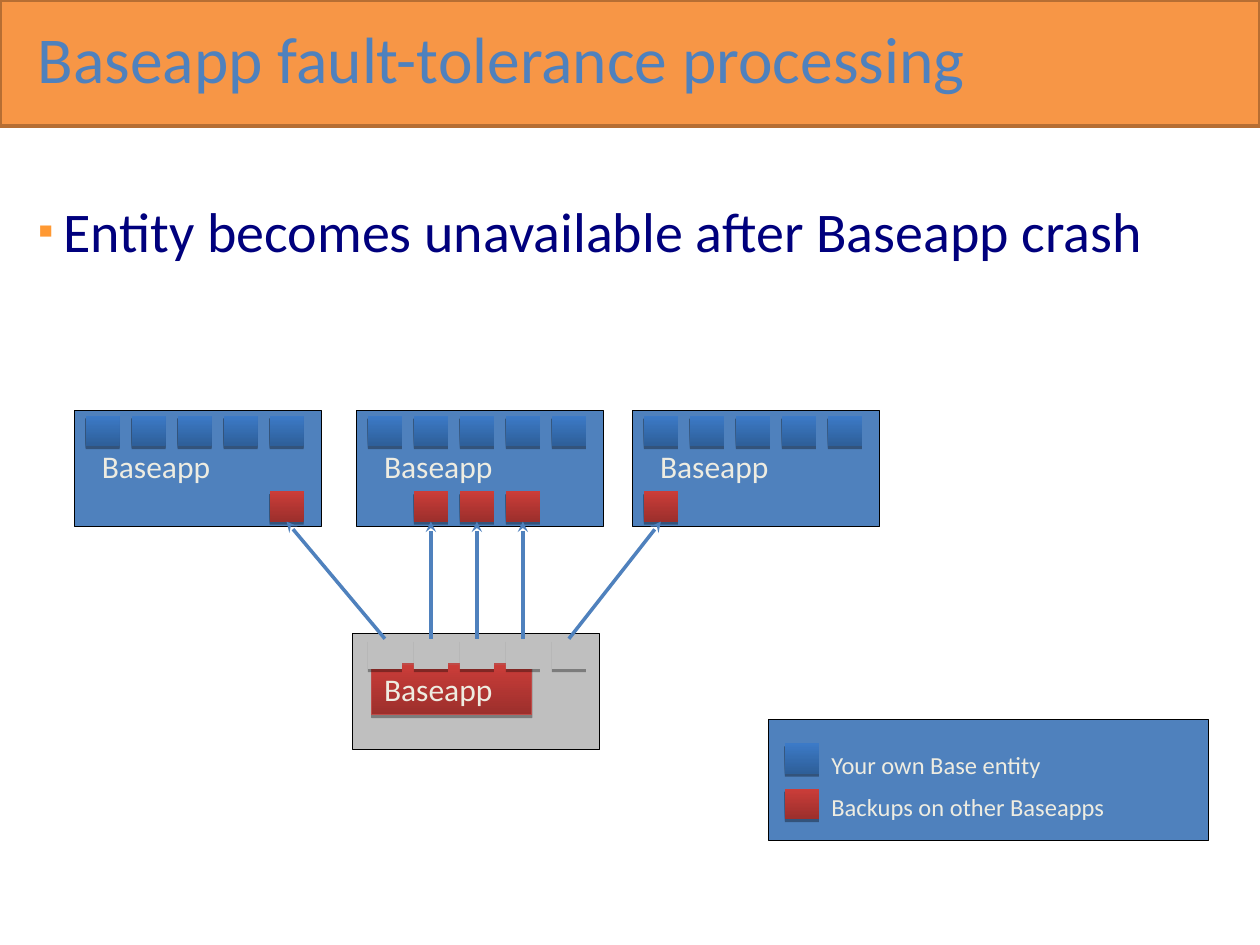
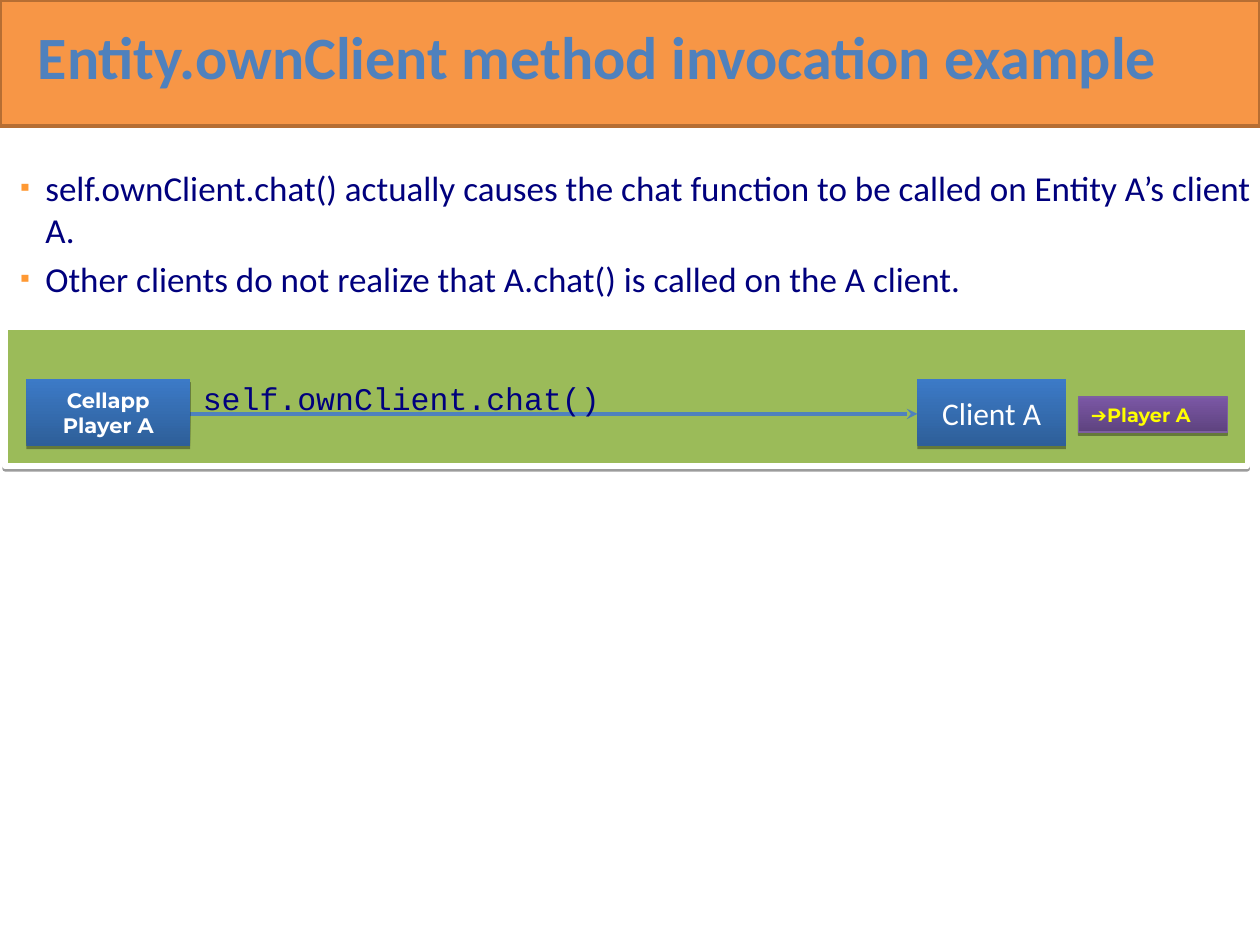
from lxml.etree import SubElement
from pptx import Presentation
from pptx.dml.color import RGBColor
from pptx.enum.shapes import MSO_CONNECTOR as Link, MSO_SHAPE as Shape
from pptx.enum.text import MSO_ANCHOR as Anchor, MSO_AUTO_SIZE as AutoSize, PP_ALIGN as Align
from pptx.oxml.ns import qn
from pptx.util import Inches, Pt

# Shared colours: a pair is a gradient from bottom to top
BLUE, ORANGE, NAVY, GREY = "4F81BD", "F79646", "00007D", "BFBFBF"
CREAM, WHITE, BLACK, YELLOW = "EEECE1", "FFFFFF", "000000", "FFFF00"
OWN = ("2E5F99", "3C7AC7")
BACKUP = ("9C2F2C", "CB3D39")
PURPLE = ("5E437F", "7B57A5")

# Cells inside a Baseapp box
CELL_W, CELL_H = 0.27, 0.24
CELL_COUNT = 5
CELL_PITCH = 1.46 / (CELL_COUNT - 1)
CELL_LEFT, OWN_TOP, BACKUP_TOP = 0.09, 0.04, 0.64
APP_W, APP_H = 1.96, 0.92


def color(hex_string):
    return RGBColor.from_string(hex_string)


def inches(*lengths):
    return [Inches(length) for length in lengths]


def set_font(font, name, size, hex_string, bold=False):
    font.name, font.size, font.bold = name, Pt(size), bold
    font.color.rgb = color(hex_string)


def set_frame(frame, insets=(0.1, 0.05, 0.1, 0.05), anchor=Anchor.TOP, wrap=True):
    frame.auto_size = AutoSize.NONE
    frame.word_wrap = wrap
    frame.vertical_anchor = anchor
    (frame.margin_left, frame.margin_top,
     frame.margin_right, frame.margin_bottom) = inches(*insets)


def write(frame, lines, name, size, hex_string, bold=False, align=Align.LEFT, gap=0):
    """Fill a frame with equally formatted paragraphs, gap points apart."""
    for index, line in enumerate(lines):
        para = frame.paragraphs[0] if index == 0 else frame.add_paragraph()
        para.text = line
        para.alignment = align
        para.space_before = Pt(gap if index else 0)
        set_font(para.font, name, size, hex_string, bold)


def add_bullet(para):
    props = para._p.get_or_add_pPr()
    props.set("marL", str(Inches(0.2)))
    props.set("indent", str(Inches(-0.2)))
    bullet_color = SubElement(props, qn("a:buClr"))
    SubElement(bullet_color, qn("a:srgbClr"), val="FF9933")
    SubElement(props, qn("a:buSzPct"), val="80000")
    SubElement(props, qn("a:buFont"), typeface="Arial")
    SubElement(props, qn("a:buChar"), char="▪")


def add_box(page, at, fill, line=None, line_width=0.75, shadow=None):
    """Draw a rectangle; shadow is (opacity percent, distance in points)."""
    box = page.shapes.add_shape(Shape.RECTANGLE, *inches(*at))
    if isinstance(fill, tuple):
        box.fill.gradient()
        box.fill.gradient_angle = 90
        for stop, hex_string in zip(box.fill.gradient_stops, fill):
            stop.color.rgb = color(hex_string)
    else:
        box.fill.solid()
        box.fill.fore_color.rgb = color(fill)
    if line:
        box.line.color.rgb = color(line)
        box.line.width = Pt(line_width)
    else:
        box.line.fill.background()
    box.shadow.inherit = False
    if shadow:
        opacity, distance = shadow
        effects = box.element.spPr.find(qn("a:effectLst"))
        outer = SubElement(effects, qn("a:outerShdw"), blurRad="0", dist=str(Pt(distance)),
                           dir="5400000", rotWithShape="0")
        tint = SubElement(outer, qn("a:srgbClr"), val=BLACK)
        SubElement(tint, qn("a:alpha"), val=str(opacity * 1000))
    return box


def add_block(page, at, fill, line=None):
    return add_box(page, at, fill, line, shadow=(35, 1.8))


def add_cell(page, left, top, fill):
    add_block(page, (left, top, CELL_W, CELL_H), fill)


def add_label(page, at, lines, name, size, hex_string, gap=0, wrap=True,
              insets=(0.1, 0.05, 0.1, 0.05)):
    label = page.shapes.add_textbox(*inches(*at))
    set_frame(label.text_frame, insets, wrap=wrap)
    write(label.text_frame, lines, name, size, hex_string, gap=gap)


def add_arrow(page, start, end):
    arrow = page.shapes.add_connector(Link.STRAIGHT, *inches(*start, *end))
    arrow.line.color.rgb = color(BLUE)
    arrow.line.width = Pt(2)
    props = arrow.element.spPr
    SubElement(props.find(qn("a:ln")), qn("a:tailEnd"), type="stealth")
    SubElement(props, qn("a:effectLst"))


def place(placeholder, at):
    (placeholder.left, placeholder.top,
     placeholder.width, placeholder.height) = inches(*at)


def send_behind_text(page, box):
    page.shapes.title.element.addprevious(box.element)


def add_page(deck, title, title_width, title_size, title_spacing, bold,
             bullets, body_at, body_size):
    """Start a slide with the title band, the title and the bullet list."""
    page = deck.slides.add_slide(deck.slide_layouts[1])
    band = add_box(page, (0, 0, 10, 1), ORANGE, "B66E33", 2)
    send_behind_text(page, band)

    heading = page.shapes.title
    place(heading, (0.2, 0.14, title_width, 0.71))
    set_frame(heading.text_frame, anchor=Anchor.MIDDLE)
    write(heading.text_frame, [title], "Calibri", title_size, BLUE, bold)
    heading.text_frame.paragraphs[0].line_spacing = title_spacing

    body = page.placeholders[1]
    place(body, body_at)
    frame = body.text_frame
    set_frame(frame, (0.06, 0.01, 0.04, 0.05))
    frame.text = "\n".join(bullets)
    for para in frame.paragraphs:
        add_bullet(para)
    write_size = body_size
    for index, para in enumerate(frame.paragraphs):
        para.space_before = Pt(write_size * 0.2 if index else 0)
        set_font(para.font, "Calibri", write_size, NAVY)
    return page


def cell_left(app_left, column):
    return app_left + CELL_LEFT + column * CELL_PITCH


def add_baseapp(page, left, top, backup_columns=()):
    """Draw a running Baseapp with its own cells and the backups it holds."""
    add_box(page, (left, top, APP_W, APP_H), BLUE, BLACK)
    add_label(page, (left + 0.12, top + 0.24, 1.27, 0.4), ["Baseapp"], "Calibri", 18, CREAM)
    for column in range(CELL_COUNT):
        add_cell(page, cell_left(left, column), top + OWN_TOP, OWN)
    for column in backup_columns:
        add_cell(page, cell_left(left, column), top + BACKUP_TOP, BACKUP)


def add_crashed_baseapp(page, left, top):
    """Draw the crashed Baseapp, its frame set slightly left of its cells."""
    add_box(page, (left - 0.03, top, APP_W, APP_H), GREY, BLACK)
    name = add_block(page, (left + 0.12, top + 0.24, 1.27, 0.4), BACKUP, "BE4B48")
    set_frame(name.text_frame)
    write(name.text_frame, ["Baseapp"], "Calibri", 18, CREAM)
    for column in range(CELL_COUNT):
        add_cell(page, cell_left(left, column), top + OWN_TOP, GREY)


def add_legend(page, left, top):
    add_box(page, (left, top, 3.49, 0.96), BLUE, BLACK)
    add_cell(page, left + 0.13, top + 0.19, OWN)
    add_cell(page, left + 0.13, top + 0.55, BACKUP)
    add_label(page, (left + 0.4, top + 0.19, 3.09, 0.66),
              ["Your own Base entity", "Backups on other Baseapps"],
              "Calibri", 14, CREAM, gap=7.2)


def build_fault_tolerance(deck):
    page = add_page(deck, "Baseapp fault-tolerance processing", 7.71, 37.4, 0.9, False,
                    ["Entity becomes unavailable after Baseapp crash"],
                    (0.24, 1.55, 9.56, 1.57), 32)
    apps_top, crashed_left, crashed_top = 3.26, 2.83, 5.03
    backups = {0.59: [4], 2.83: [1, 2, 3], 5.02: [0]}
    for left, columns in backups.items():
        add_baseapp(page, left, apps_top, columns)
    add_crashed_baseapp(page, crashed_left, crashed_top)

    # Each lost cell points to its backup, from left to right
    targets = [cell_left(left, column) for left, columns in backups.items() for column in columns]
    for column, target in enumerate(targets):
        source = cell_left(crashed_left, column)
        add_arrow(page, (source + CELL_W / 2, crashed_top + OWN_TOP),
                  (target + CELL_W / 2, apps_top + BACKUP_TOP + CELL_H))
    add_legend(page, 6.1, 5.71)


def add_call_diagram(page, left, top):
    """Draw the call from the Cellapp to the client on a green panel."""
    panel = add_box(page, (left, top, 9.86, 1.1), "9BBB59", WHITE, 3, shadow=(38, 1.6))
    send_behind_text(page, panel)

    block_top, block_height = top + 0.41, 0.53
    cellapp_left, cellapp_width, client_left = left + 0.17, 1.3, left + 7.24
    cellapp_right = cellapp_left + cellapp_width
    middle = block_top + block_height / 2 + 0.01
    add_arrow(page, (cellapp_right, middle), (client_left, middle))
    add_label(page, (cellapp_right + 0.1, block_top, 3.15, 0.3), ["self.ownClient.chat()"],
              "Courier New", 18, NAVY, wrap=False, insets=(0, 0, 0, 0))

    blocks = [(cellapp_left, cellapp_width, ["Cellapp", "Player A"], "Montserrat", 12, True),
              (client_left, 1.18, ["Client A"], "Calibri", 18, False)]
    for block_left, width, lines, name, size, bold in blocks:
        block = add_block(page, (block_left, block_top, width, block_height), OWN)
        set_frame(block.text_frame, anchor=Anchor.MIDDLE)
        write(block.text_frame, lines, name, size, WHITE, bold, Align.CENTER)

    # Player tag beside the client
    tag = add_block(page, (left + 8.52, top + 0.55, 1.18, 0.28), PURPLE, "7D5FA0")
    set_frame(tag.text_frame)
    para = tag.text_frame.paragraphs[0]
    para.alignment = Align.LEFT
    for text, name, bold in [("➔", "Arial", False), ("Player A", "Montserrat", True)]:
        span = para.add_run()
        span.text = text
        set_font(span.font, name, 11, YELLOW, bold)


def build_own_client(deck):
    page = add_page(deck, "Entity.ownClient method invocation example", 9.68, 34.3, 0.8, True,
                    ["self.ownClient.chat() actually causes the chat function to be called"
                     " on Entity A’s client A.",
                     "Other clients do not realize that A.chat() is called on the A client."],
                    (0.1, 1.31, 9.9, 5.82), 20)
    add_call_diagram(page, 0.04, 2.6)


def main():
    deck = Presentation()
    deck.slide_width, deck.slide_height = inches(10, 7.5)
    build_fault_tolerance(deck)
    build_own_client(deck)
    deck.save("out.pptx")


if __name__ == "__main__":
    main()
